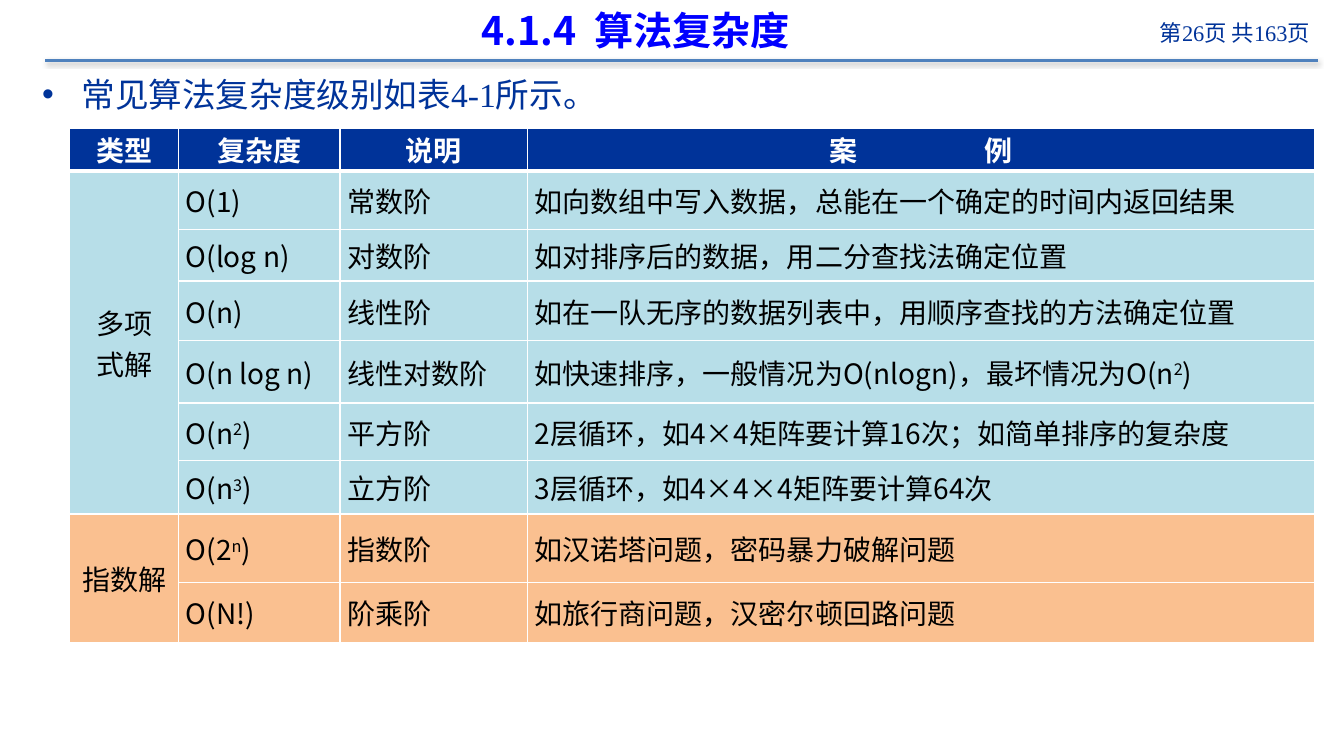
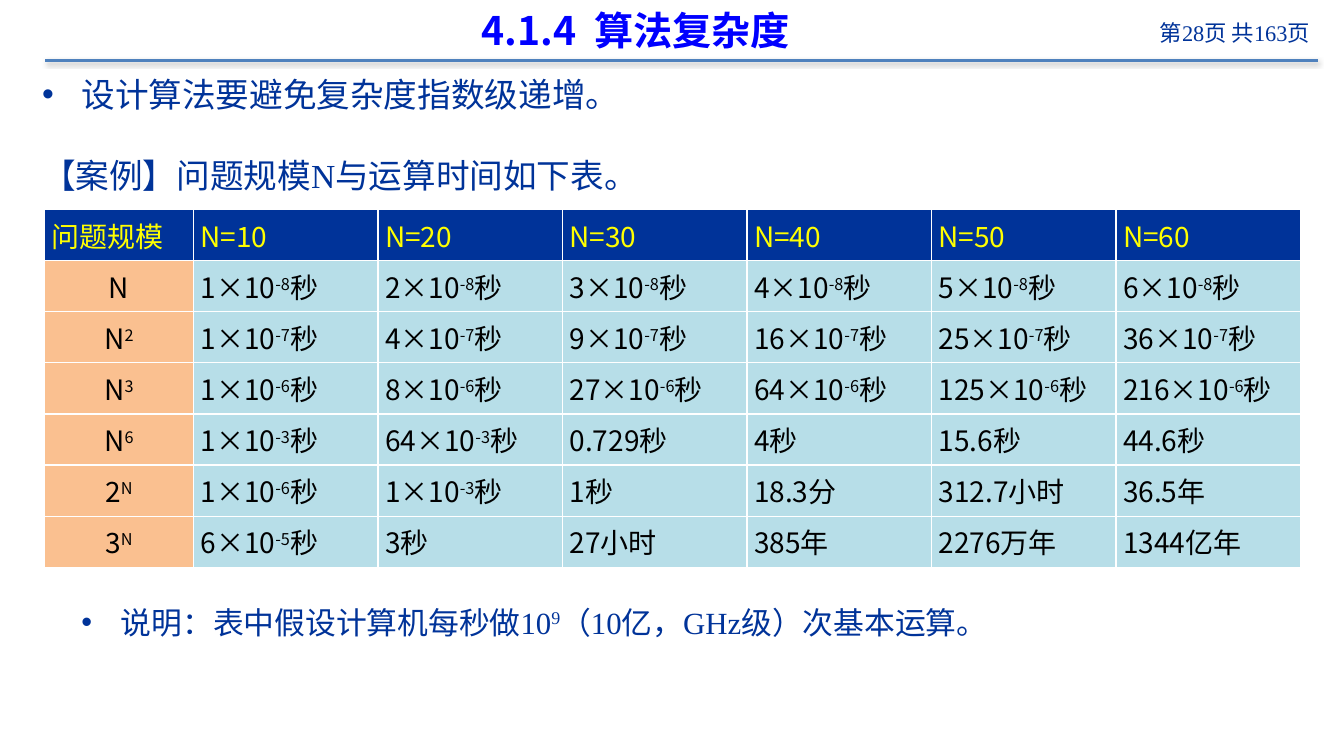
from dataclasses import dataclass

from lxml import etree
from pptx import Presentation
from pptx.dml.color import RGBColor
from pptx.enum.shapes import MSO_CONNECTOR
from pptx.enum.text import MSO_ANCHOR, PP_ALIGN
from pptx.oxml.ns import qn
from pptx.util import Emu, Inches, Pt

LEFT, CENTER, RIGHT = PP_ALIGN.LEFT, PP_ALIGN.CENTER, PP_ALIGN.RIGHT
MIDDLE = MSO_ANCHOR.MIDDLE
STRAIGHT = MSO_CONNECTOR.STRAIGHT
BLANK_LAYOUT = 6
TOTAL_PAGES = 163


@dataclass(frozen=True)
class Theme:
    navy: str = "003399"
    title_blue: str = "0000FF"
    rule_blue: str = "4F81BD"
    light_blue: str = "B7DEE8"
    orange: str = "FAC090"
    yellow: str = "FFFF00"
    white: str = "FFFFFF"
    black: str = "000000"
    sans: str = "Noto Sans CJK SC"
    serif: str = "Times New Roman"
    title_size: int = 28
    body_size: int = 24
    note_size: int = 22
    table_size: int = 20
    page_size: int = 16


THEME = Theme()


def add_element(parent, tag, **attributes):
    return etree.SubElement(parent, qn(tag), attributes)


class Deck:
    """Holds the style and the current slide; lengths are percent of the slide."""

    def __init__(self, theme):
        self.theme = theme
        self.presentation = Presentation()
        self.presentation.slide_width = Inches(13.33)
        self.presentation.slide_height = Inches(7.5)
        self.slide = None

    def across(self, percent):
        return Emu(round(self.presentation.slide_width * percent / 100))

    def down(self, percent):
        return Emu(round(self.presentation.slide_height * percent / 100))

    def box(self, left, top, width, height):
        return self.across(left), self.down(top), self.across(width), self.down(height)

    def new_slide(self, number, title):
        """Start a slide with its rule, page number and title (chapter, name)."""
        layout = self.presentation.slide_layouts[BLANK_LAYOUT]
        self.slide = self.presentation.slides.add_slide(layout)
        theme = self.theme
        self.rule(3.38, 98.05, 8)
        page = self.text_line((81.25, 0.87, 16.95, 6.8), RIGHT)
        self.add_runs(page, f"第{number}页 共{TOTAL_PAGES}页")
        self.style(page, theme.page_size, theme.navy, theme.serif)
        heading = self.text_line((5.8, 0.27, 83, 7.47), CENTER)
        self.add_words_apart(heading, *title, 6.3)
        self.style(heading, theme.title_size, theme.title_blue, theme.sans, True)

    def rule(self, start, end, top):
        """Draw a horizontal line with a soft shadow below it."""
        line = self.slide.shapes.add_connector(
            STRAIGHT, self.across(start), self.down(top), self.across(end), self.down(top))
        line.line.color.rgb = RGBColor.from_string(self.theme.rule_blue)
        line.line.width = Pt(2)
        effects = add_element(line._element.spPr, "a:effectLst")
        shadow = add_element(effects, "a:outerShdw", blurRad=str(Pt(3.1)),
                             dist=str(Pt(1.6)), dir="5400000", rotWithShape="0")
        color = add_element(shadow, "a:srgbClr", val=self.theme.black)
        add_element(color, "a:alpha", val="38000")

    def text_line(self, box, alignment=LEFT):
        """Add a text box and return its empty paragraph."""
        frame = self.slide.shapes.add_textbox(*self.box(*box)).text_frame
        frame.word_wrap = True
        frame.vertical_anchor = MIDDLE
        paragraph = frame.paragraphs[0]
        paragraph.alignment = alignment
        return paragraph

    def body_line(self, text, top, size, bullet_level=0):
        paragraph = self.text_line((2.4, top, 95.55, 8))
        if bullet_level:
            hang = Inches(0.39)
            properties = paragraph._p.get_or_add_pPr()
            properties.set("marL", str(hang * bullet_level))
            properties.set("indent", str(-hang))
            add_element(properties, "a:buFont", typeface="Arial")
            add_element(properties, "a:buChar", char="•")
        self.add_runs(paragraph, text)
        self.style(paragraph, size, self.theme.navy, self.theme.serif)

    def add_runs(self, paragraph, text):
        """Add runs; text between a pair of carets is raised."""
        for index, part in enumerate(text.split("^")):
            if part:
                run = paragraph.add_run()
                run.text = part
                if index % 2:
                    run._r.get_or_add_rPr().set("baseline", "30000")

    def add_words_apart(self, paragraph, first, second, gap):
        """Add two words whose space is widened by gap points."""
        for part in (first, " ", second):
            run = paragraph.add_run()
            run.text = part
            if part == " ":
                run._r.get_or_add_rPr().set("spc", str(round(gap * 100)))

    def style(self, paragraph, size, color, face, bold=False):
        font = paragraph.font
        font.size = Pt(size)
        font.bold = bold
        font.color.rgb = RGBColor.from_string(color)
        font.name = face
        properties = paragraph._p.pPr.find(qn("a:defRPr"))
        add_element(properties, "a:ea", typeface=self.theme.sans)

    def table(self, left, top, widths, heights):
        frame = self.slide.shapes.add_table(
            len(heights), len(widths), *self.box(left, top, sum(widths), sum(heights)))
        table = frame.table
        table.first_row = table.horz_banding = False
        for column, width in zip(table.columns, widths):
            column.width = self.across(width)
        for row, height in zip(table.rows, heights):
            row.height = self.down(height)
        return table

    def cell(self, cell, text, fill, color, alignment=LEFT, bold=False,
             bottom=1, gap=0):
        """Fill a cell; with a gap, text is a pair of words set apart."""
        cell.margin_left = cell.margin_right = Inches(0.07)
        cell.margin_top = cell.margin_bottom = 0
        cell.vertical_anchor = MIDDLE
        self.borders(cell, bottom)
        cell.fill.solid()
        cell.fill.fore_color.rgb = RGBColor.from_string(fill)
        frame = cell.text_frame
        for index, line in enumerate([text] if gap else text.split("\n")):
            paragraph = frame.add_paragraph() if index else frame.paragraphs[0]
            paragraph.alignment = alignment
            if gap:
                self.add_words_apart(paragraph, *line, gap)
            else:
                self.add_runs(paragraph, line)
            self.style(paragraph, self.theme.table_size, color, self.theme.sans, bold)

    def borders(self, cell, bottom):
        properties = cell._tc.get_or_add_tcPr()
        for side, width in (("L", 1), ("R", 1), ("T", 1), ("B", bottom)):
            edge = add_element(properties, f"a:ln{side}", w=str(Pt(width)))
            fill = add_element(edge, "a:solidFill")
            add_element(fill, "a:srgbClr", val=self.theme.white)


TITLE = ("4.1.4", "算法复杂度")

CLASS_HEADINGS = ["类型", "复杂度", "说明", ("案", "例")]
COMPLEXITY_GROUPS = [
    ("多项\n式解", THEME.light_blue, [
        ("Ο(1)", "常数阶", "如向数组中写入数据，总能在一个确定的时间内返回结果"),
        ("Ο(log n)", "对数阶", "如对排序后的数据，用二分查找法确定位置"),
        ("Ο(n)", "线性阶", "如在一队无序的数据列表中，用顺序查找的方法确定位置"),
        ("Ο(n log n)", "线性对数阶", "如快速排序，一般情况为Ο(nlogn)，最坏情况为Ο(n^2^)"),
        ("Ο(n^2^)", "平方阶", "2层循环，如4×4矩阵要计算16次；如简单排序的复杂度"),
        ("Ο(n^3^)", "立方阶", "3层循环，如4×4×4矩阵要计算64次"),
    ]),
    ("指数解", THEME.orange, [
        ("Ο(2^n^)", "指数阶", "如汉诺塔问题，密码暴力破解问题"),
        ("Ο(N!)", "阶乘阶", "如旅行商问题，汉密尔顿回路问题"),
    ]),
]


def powers(factors, exponent):
    return [f"{factor}×10^{exponent}^秒" for factor in factors]


RUNNING_TIMES = [
    ["N", *powers([1, 2, 3, 4, 5, 6], -8)],
    ["N^2^", *powers([1, 4, 9, 16, 25, 36], -7)],
    ["N^3^", *powers([1, 8, 27, 64, 125, 216], -6)],
    ["N^6^", *powers([1, 64], -3), "0.729秒", "4秒", "15.6秒", "44.6秒"],
    ["2^N^", *powers([1], -6), *powers([1], -3), "1秒", "18.3分", "312.7小时", "36.5年"],
    ["3^N^", *powers([6], -5), "3秒", "27小时", "385年", "2276万年", "1344亿年"],
]


def complexity_slide(deck):
    theme = deck.theme
    deck.new_slide(26, TITLE)
    deck.body_line("常见算法复杂度级别如表4-1所示。", 8.4, theme.body_size, 1)
    table = deck.table(5.2, 16.93, [8.1, 12, 13.95, 58.6],
                       [5.73, 7.73, 6.8, 7.87, 8.27, 7.6, 7.07, 9.07, 8])
    for column, heading in enumerate(CLASS_HEADINGS):
        deck.cell(table.cell(0, column), heading, theme.navy, theme.white, CENTER,
                  bold=True, bottom=3, gap=86 if isinstance(heading, tuple) else 0)
    first = 1
    for name, fill, rows in COMPLEXITY_GROUPS:
        table.cell(first, 0).merge(table.cell(first + len(rows) - 1, 0))
        deck.cell(table.cell(first, 0), name, fill, theme.black, CENTER)
        for row, texts in enumerate(rows, first):
            for column, text in enumerate(texts, 1):
                deck.cell(table.cell(row, column), text, fill, theme.black)
        first += len(rows)


def running_time_slide(deck):
    theme = deck.theme
    deck.new_slide(28, TITLE)
    deck.body_line("设计算法要避免复杂度指数级递增。", 8.4, theme.body_size, 1)
    deck.body_line("【案例】问题规模N与运算时间如下表。", 19.2, theme.body_size)
    table = deck.table(3.3, 27.73, [11.1] + [13.73] * 6, [6.76] * 7)
    headings = ["问题规模"] + [f"N={size}" for size in range(10, 70, 10)]
    for column, heading in enumerate(headings):
        deck.cell(table.cell(0, column), heading, theme.navy, theme.yellow)
    for row, (growth, *times) in enumerate(RUNNING_TIMES, 1):
        deck.cell(table.cell(row, 0), growth, theme.orange, theme.black, CENTER)
        for column, time in enumerate(times, 1):
            deck.cell(table.cell(row, column), time, theme.light_blue, theme.black)
    deck.body_line("说明：表中假设计算机每秒做10^9^（10亿，GHz级）次基本运算。",
                   78.27, theme.note_size, 2)


def main():
    deck = Deck(THEME)
    complexity_slide(deck)
    running_time_slide(deck)
    deck.presentation.save("out.pptx")


if __name__ == "__main__":
    main()
